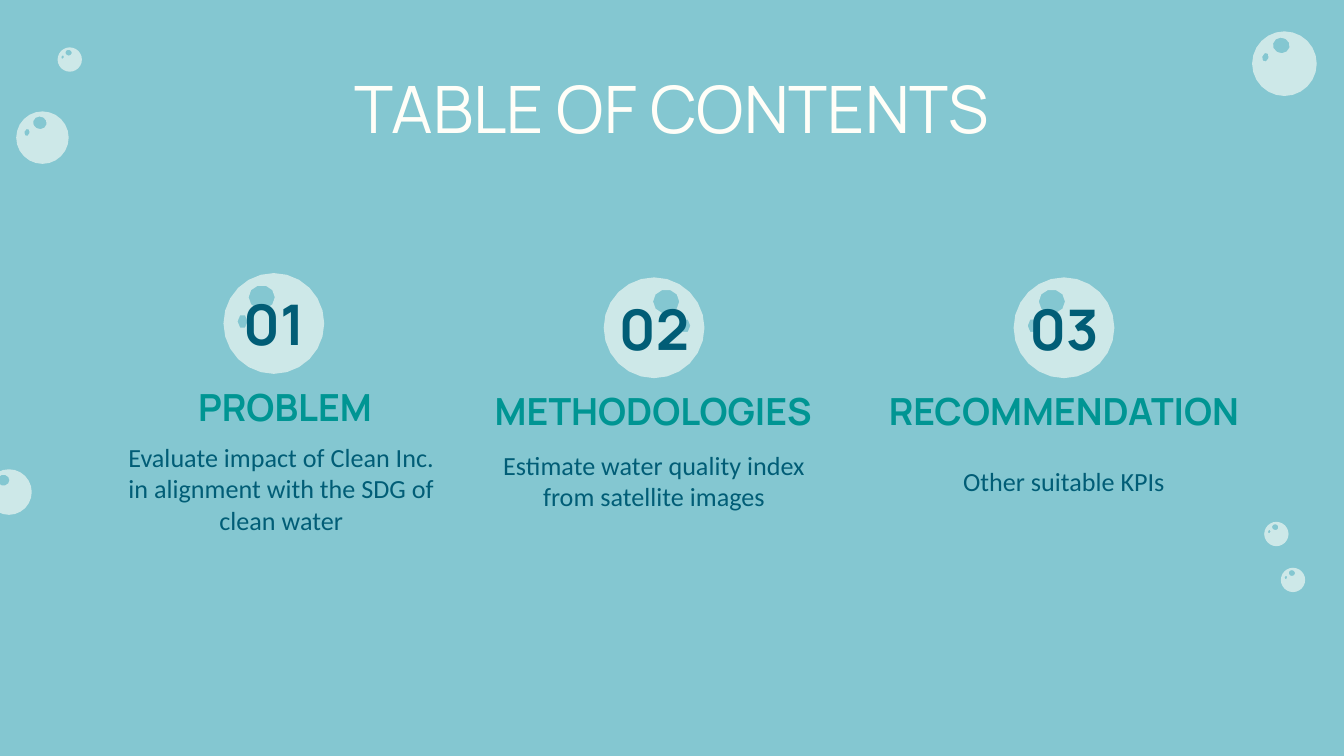
import math
from dataclasses import dataclass

from lxml import etree
from pptx import Presentation
from pptx import util as u
from pptx.dml import color
from pptx.enum import text
from pptx.oxml import ns

Pt = u.Pt


@dataclass(frozen=True)
class Theme:
    water: str = "84C7D1"
    foam: str = "FFFEF8"
    teal: str = "009593"
    navy: str = "015D76"
    foam_alpha: int = 60
    display: str = "Manrope"
    body: str = "Calibri"


T = Theme()
TITLE = dict(name=T.display, size=Pt(35), bold=False, ink=T.foam)
NUMBER = dict(name=T.display, size=Pt(30), bold=True, ink=T.navy)
HEADING = dict(name=T.display, size=Pt(20), bold=True, ink=T.teal)
BODY = dict(name=T.body, size=Pt(14), bold=False, ink=T.navy)

# Bubble outline and its two holes on a unit square:
# centre x, y, radius x, y, number of corners
RIM = (0.5, 0.5, 0.5, 0.5, 24)
HOLES = [(0.38, 0.24, 0.13, 0.12, 10), (0.19, 0.48, 0.05, 0.07, 6)]
UNIT = 1000

# Loose bubbles: left, top, diameter, rotation
LOOSE_BUBBLES = [
    (8.7, 59.7, 28.1, 15),
    (30.9, 25.4, 13, 15),
    (670.8, 16.8, 34.6, 15),
    (677.3, 279.6, 13, 15),
    (686.2, 304.2, 13, 15),
    (-7.4, 251.4, 24.4, 0),
]

# Each item: bubble box, mirrored spots, words, and the (dx, width) of the
# heading and (dx, dy, width) of the details around the bubble's centre line
ITEMS = [
    dict(box=(119.7, 146.3, 54, 54), flip=False, number="01", heading="PROBLEM",
         details="Evaluate impact of Clean Inc. in alignment with the SDG of clean water",
         heading_at=(6, 184.3), details_at=(4, 98.4, 188.6)),
    dict(box=(323.4, 148.6, 54, 54), flip=True, number="02", heading="METHODOLOGIES",
         details="Estimate water quality index from satellite images",
         heading_at=(-0.4, 194.4), details_at=(0, 92, 184.3)),
    dict(box=(543, 148.6, 54, 54), flip=False, number="03", heading="RECOMMENDATION",
         details="Other suitable KPIs",
         heading_at=(0, 231.1), details_at=(0, 92, 184.3)),
]


def ellipse_points(cx, cy, rx, ry, corners):
    angles = [2 * math.pi * i / corners for i in range(corners)]
    return [(round(UNIT * (cx + rx * math.cos(a))), round(UNIT * (cy + ry * math.sin(a))))
            for a in angles]


def add_bubble(s, box, rotation=0, flip=False):
    """Translucent disc with two see-through spots."""
    left, top, size, _ = box
    rim = ellipse_points(*RIM)
    builder = s.shapes.build_freeform(*rim[0], scale=Pt(size) / UNIT)
    builder.add_line_segments(rim[1:], close=True)
    for cx, *rest in HOLES:
        points = ellipse_points(1 - cx if flip else cx, *rest)[::-1]
        builder.move_to(*points[0])
        builder.add_line_segments(points[1:], close=True)
    sp = builder.convert_to_shape(Pt(left), Pt(top))
    sp.rotation = rotation
    sp.shadow.inherit = False
    sp.line.fill.background()
    sp.fill.solid()
    sp.fill.fore_color.rgb = color.RGBColor.from_string(T.foam)
    rgb = sp.element.spPr.find(ns.qn("a:solidFill"))[0]
    etree.SubElement(rgb, ns.qn("a:alpha"), val=str(T.foam_alpha * 1000))


def add_text(s, box, words, style):
    """Centred text box."""
    tf = s.shapes.add_textbox(*map(Pt, box)).text_frame
    frame = dict(word_wrap=True, vertical_anchor=text.MSO_ANCHOR.MIDDLE)
    frame.update({f"margin_{side}": Pt(7.2) for side in ("left", "right", "top", "bottom")})
    for key, value in frame.items():
        setattr(tf, key, value)
    p = tf.paragraphs[0]
    p.alignment = text.PP_ALIGN.CENTER
    r = p.add_run()
    r.text = words
    for key in ("name", "size", "bold"):
        setattr(r.font, key, style[key])
    r.font.color.rgb = color.RGBColor.from_string(style["ink"])


def add_item(s, box, flip, number, heading, details, heading_at, details_at):
    """Numbered bubble with its heading and details below."""
    left, top, w, h = box
    middle = left + w / 2

    def centred(dx, dy, width, height):
        return middle + dx - width / 2, top + dy, width, height

    add_bubble(s, box, flip=flip)
    add_text(s, centred(0, 12.6, 56.2, 28.8), number, NUMBER)
    dx, width = heading_at
    add_text(s, centred(dx, 50.6, width, 41.8), heading, HEADING)
    dx, dy, width = details_at
    add_text(s, centred(dx, dy, width, 33.8), details, BODY)


def contents_slide(prs):
    s = prs.slides.add_slide(prs.slide_layouts[6])
    # Background
    fill = s.background.fill
    fill.solid()
    fill.fore_color.rgb = color.RGBColor.from_string(T.water)
    # Loose bubbles
    for left, top, size, rotation in LOOSE_BUBBLES:
        add_bubble(s, (left, top, size, size), rotation)
    # Contents
    for item in ITEMS:
        add_item(s, **item)
    # Title
    add_text(s, (56.7, 35.1, 606.6, 45.4), "TABLE OF CONTENTS", TITLE)


def main():
    prs = Presentation()
    prs.slide_width, prs.slide_height = Pt(720), Pt(405)
    contents_slide(prs)
    prs.save("out.pptx")


if __name__ == "__main__":
    main()
